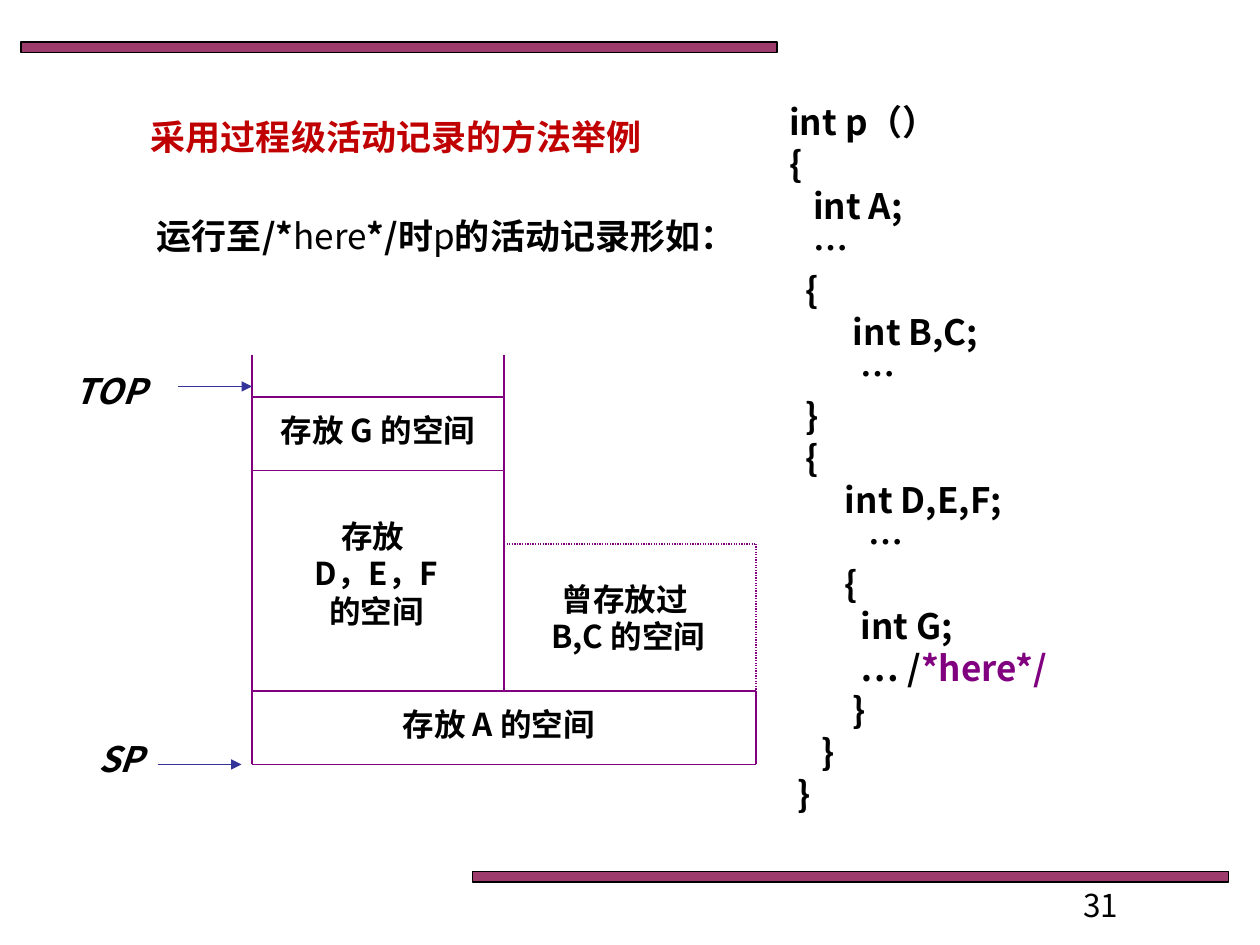
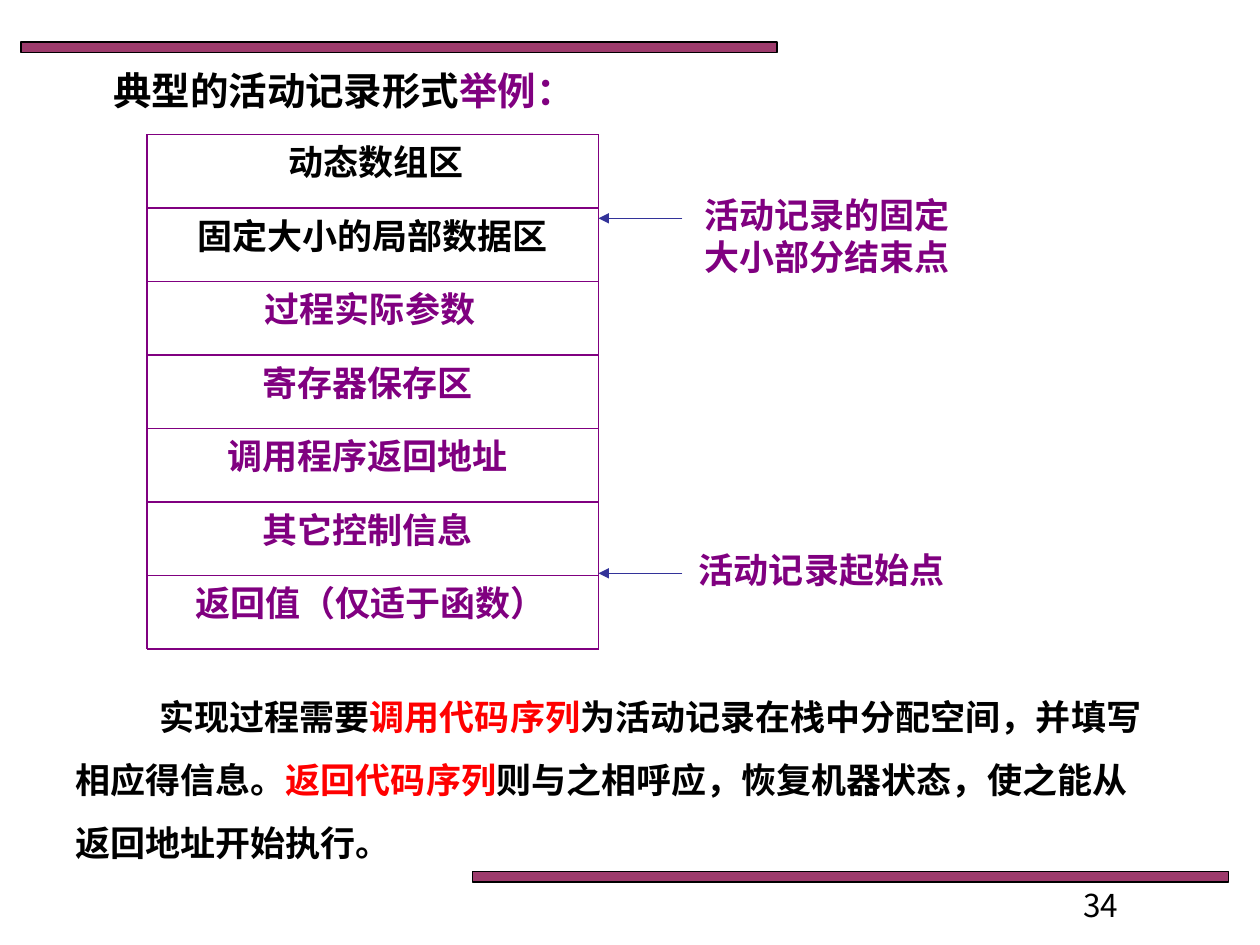
from pptx import Presentation
from pptx.dml.color import RGBColor
from pptx.enum.dml import MSO_LINE
from pptx.enum.shapes import MSO_CONNECTOR, MSO_SHAPE
from pptx.enum.text import MSO_ANCHOR, MSO_AUTO_SIZE, PP_ALIGN
from pptx.oxml.ns import qn
from pptx.util import Pt
from lxml.etree import SubElement

PX = 7620  # 120 px to the inch
FONT = "Noto Sans CJK SC"
BLACK = RGBColor(0x00, 0x00, 0x00)
WHITE = RGBColor(0xFF, 0xFF, 0xFF)
PURPLE = RGBColor(0x80, 0x00, 0x80)
PLUM = RGBColor(0x99, 0x33, 0x66)
BLUE = RGBColor(0x33, 0x33, 0x99)
DARK_RED = RGBColor(0xC0, 0x00, 0x00)
RED = RGBColor(0xFF, 0x00, 0x00)
LEFT, CENTER = PP_ALIGN.LEFT, PP_ALIGN.CENTER


def add_text(s, box, paras, size=20, color=BLACK, align=CENTER, bold=True,
             italic=False, title=False, margin=0, indent=0, spacing=1):
    """Each paragraph is a string or a list of (text, color, bold) runs."""
    sp = s.shapes.title if title else s.shapes.add_textbox(0, 0, 0, 0)
    sp.left, sp.top, sp.width, sp.height = [v * PX for v in box]
    tf = sp.text_frame
    tf.word_wrap = True
    tf.auto_size = MSO_AUTO_SIZE.NONE
    tf.vertical_anchor = MSO_ANCHOR.TOP
    for i, runs in enumerate(paras):
        p = tf.paragraphs[0] if i == 0 else tf.add_paragraph()
        p.alignment = align
        p.line_spacing = Pt(size * 1.2 * spacing)
        pPr = p._p.get_or_add_pPr()
        pPr.set("marL", str(margin * PX))
        pPr.set("indent", str(indent * PX))
        for text, run_color, run_bold in (
                [(runs, color, bold)] if isinstance(runs, str) else runs):
            r = p.add_run()
            r.text = text
            r.font.size = Pt(size)
            r.font.name = FONT
            r.font.bold = run_bold
            r.font.italic = italic
            r.font.color.rgb = run_color
            SubElement(r._r.get_or_add_rPr(), qn("a:ea"), typeface=FONT)
    return sp


def add_line(s, x1, y1, x2, y2, color=PURPLE, dotted=False, arrow=False):
    c = s.shapes.add_connector(MSO_CONNECTOR.STRAIGHT,
                               x1 * PX, y1 * PX, x2 * PX, y2 * PX)
    c.line.color.rgb = color
    c.line.width = Pt(0.75)
    if dotted:
        c.line.dash_style = MSO_LINE.ROUND_DOT
    if arrow:
        SubElement(c.line._get_or_add_ln(), qn("a:tailEnd"), type="triangle")
    SubElement(c._element.spPr, qn("a:effectLst"))


prs = Presentation()
prs.slide_width, prs.slide_height = 1200 * PX, 900 * PX
layout = prs.slide_layouts[5]
s1, s2 = [prs.slides.add_slide(layout) for _ in range(2)]

# Shared bands, placed on the layout
for x, y in [(20, 40), (450, 830)]:
    band = s1.shapes.add_shape(MSO_SHAPE.RECTANGLE,
                               x * PX, y * PX, 720 * PX, 10 * PX)
    band.shadow.inherit = False
    band.fill.solid()
    band.fill.fore_color.rgb = PLUM
    SubElement(band._element.spPr.find(".//" + qn("a:srgbClr")),
               qn("a:alpha"), val="96000")
    band.line.color.rgb = BLACK
    band.line.width = Pt(0.75)
    layout.shapes._spTree.append(band._element)

# Page numbers
for s, number in [(s1, "31"), (s2, "34")]:
    add_text(s, (1020, 838, 160, 22), [number], 18, align=LEFT, bold=False)

# Slide 1: heading and lead-in
add_text(s1, (0, 104, 695, 53), ["采用过程级活动记录的方法举例"],
         color=DARK_RED, title=True, margin=60)
add_text(s1, (80, 198, 690, 53), [[
    ("运行至/*", BLACK, True), ("here", BLACK, False), ("*/时", BLACK, True),
    ("p", BLACK, False), ("的活动记录形如：", BLACK, True)]])

# Slide 1: code
code = [
    "int p（）",
    "{",
    "   int A;",
    "   …",
    "  {",
    "        int B,C;",
    "         …",
    "  }",
    "  {",
    "       int D,E,F;",
    "          …",
    "       {",
    "         int G;",
    [("         … /", BLACK, True), ("*here*/", PURPLE, True)],
    "        }",
    "    }",
    " }",
]
add_text(s1, (740, 90, 420, 698), code, align=LEFT)

# Slide 1: stack frame
stack_l, stack_m, stack_r = 240, 480, 720
stack_top, base_top, base_bottom = 338, 658, 728
for x, y1, y2 in [(stack_l, stack_top, base_bottom),
                  (stack_m, stack_top, base_top),
                  (stack_r, base_top, base_bottom)]:
    add_line(s1, x, y1, x, y2)
for y, right in [(378, stack_m), (448, stack_m),
                 (base_top, stack_r), (base_bottom, stack_r)]:
    add_line(s1, stack_l, y, right, y)
add_line(s1, stack_m, 518, stack_r, 518, dotted=True)
add_line(s1, stack_r, 518, stack_r, base_top, dotted=True)

for box, lines in [
        ((240, 386, 240, 48), ["存放 G 的空间"]),
        ((250, 486, 210, 121), ["存放", " D，E，F", " 的空间"]),
        ((480, 546, 230, 85), ["曾存放过", " B,C 的空间"]),
        ((240, 666, 470, 48), ["存放 A 的空间"])]:
    add_text(s1, box, lines, 18)

# Slide 1: pointers
for label, x, y, x1, x2, arrow_y in [("TOP", 50, 346, 170, 240, 368),
                                     ("SP", 60, 696, 150, 230, 728)]:
    add_text(s1, (x, y, 110, 52), [label], italic=True)
    add_line(s1, x1, arrow_y, x2, arrow_y, BLUE, arrow=True)

# Slide 2: heading
add_text(s2, (20, 58, 1030, 56), [[("典型的活动记录形式", BLACK, True),
                                   ("举例：", PURPLE, True)]],
         22, align=LEFT, title=True, margin=76)

# Slide 2: activation record, one row per area
fields = [
    ("动态数组区", 146, 424, BLACK),
    ("固定大小的局部数据区", 140, 430, BLACK),
    ("过程实际参数", 146, 413, PURPLE),
    ("寄存器保存区", 140, 420, PURPLE),
    ("调用程序返回地址", 140, 420, PURPLE),
    ("其它控制信息", 140, 420, PURPLE),
    ("返回值（仅适于函数）", 140, 426, PURPLE),
]
rec_l, rec_r, rec_top, row_h = 140, 570, 128, 70
rec_bottom = rec_top + row_h * len(fields)
for x in (rec_l, rec_r):
    add_line(s2, x, rec_top, x, rec_bottom)
for y in range(rec_top, rec_bottom + 1, row_h):
    add_line(s2, rec_l, y, rec_r, y)
for i, (name, x, width, color) in enumerate(fields):
    add_text(s2, (x, rec_top + i * row_h, width, 53), [name], color=color)

# Slide 2: callouts
for label, box, y in [
        ("活动记录的固定大小部分结束点", (650, 178, 275, 92), 208),
        ("活动记录起始点", (640, 516, 285, 52), 546)]:
    add_text(s2, box, [label], color=PURPLE)
    add_line(s2, 650, y, rec_r, y, BLUE, arrow=True)

# Slide 2: explanation
note = add_text(s2, (60, 637, 1050, 185), [[
    ("实现过程需要", BLACK, True),
    ("调用代码序列", RED, True),
    ("为活动记录在栈中分配空间，并填写相应得信息。", BLACK, True),
    ("返回代码序列", RED, True),
    ("则与之相呼应，恢复机器状态，使之能从返回地址开始执行。", BLACK, True)]],
    align=LEFT, indent=80, spacing=1.5)
note.fill.solid()
note.fill.fore_color.rgb = WHITE

prs.save("out.pptx")
